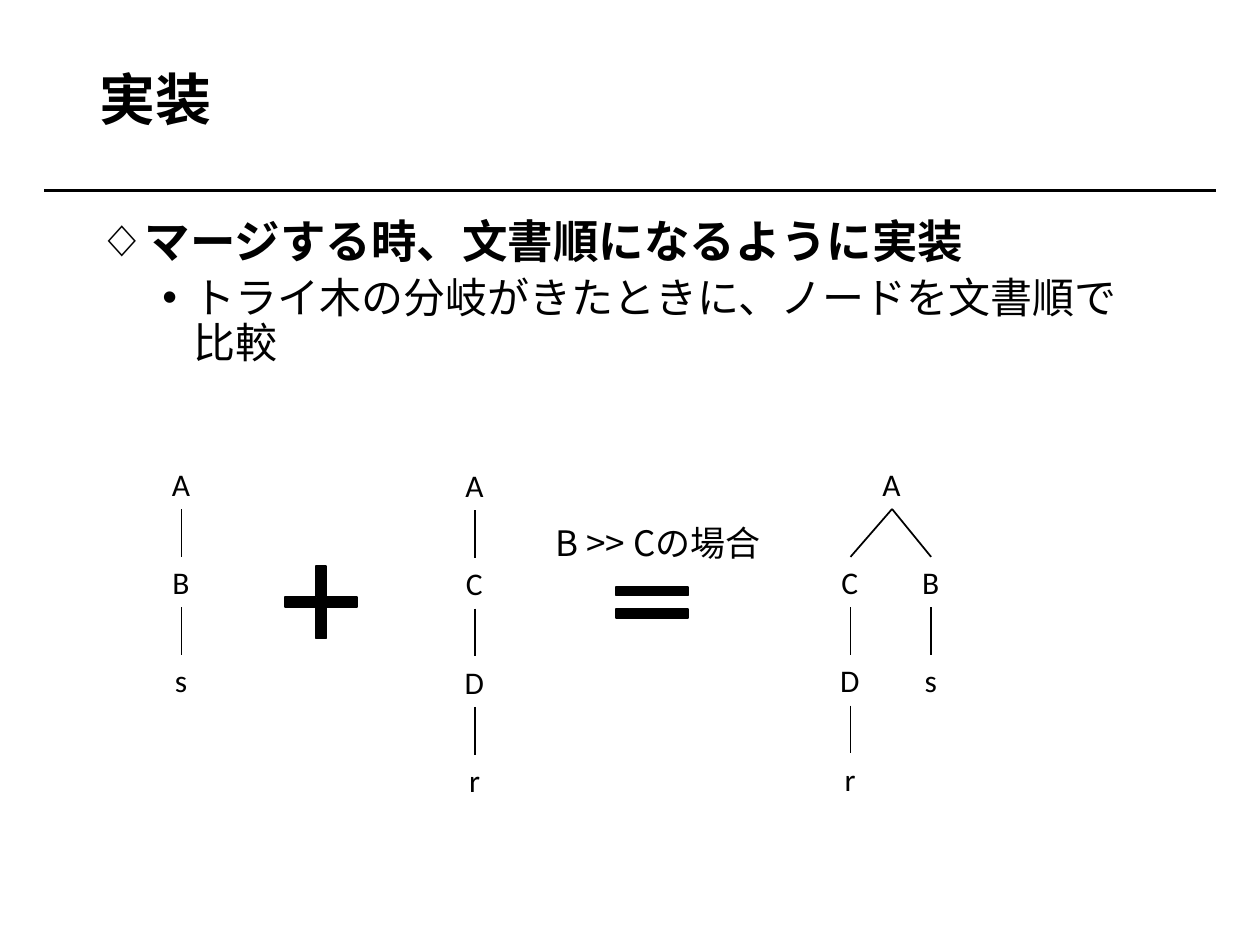
from lxml import etree
from pptx import Presentation, util as u
from pptx.dml.color import RGBColor
from pptx.enum import shapes, text
from pptx.oxml.ns import qn

COLORS = {"ink": "000000", "paper": "FFFFFF"}
CJK, LATIN = "Noto Sans CJK JP", "Calibri"
NODE_H, STEP = 0.4, 0.78
NODE_W = {"A": 0.35, "B": 0.34, "C": 0.34, "D": 0.36, "r": 0.29, "s": 0.3}


def inches(*values):
    """Convert numbers to inch lengths."""
    return [u.Inches(v) for v in values]


def add_run(p, words, size, name=CJK, bold=False):
    """Add formatted text to a paragraph, with line breaks at newlines."""
    for i, line in enumerate(words.split("\n")):
        if i:
            p.add_line_break()
        r = p.add_run()
        r.text = line
        r.font.color.rgb = RGBColor.from_string(COLORS["ink"])
        for key, value in {"size": u.Pt(size), "name": name, "bold": bold}.items():
            setattr(r.font, key, value)
        etree.SubElement(r.font._element, qn("a:ea")).set("typeface", CJK)


def add_label(s, box, words, size, name):
    """Place a one-line label."""
    sp = s.shapes.add_textbox(*inches(*box))
    tf = sp.text_frame
    tf.word_wrap = False
    tf.auto_size = text.MSO_AUTO_SIZE.SHAPE_TO_FIT_TEXT
    tf.paragraphs[0].alignment = text.PP_ALIGN.LEFT
    add_run(tf.paragraphs[0], words, size, name)


def add_line(s, start, end, width):
    """Draw a straight line without shadow."""
    ln = s.shapes.add_connector(shapes.MSO_CONNECTOR.STRAIGHT, *inches(*start, *end))
    ln.line.color.rgb = RGBColor.from_string(COLORS["ink"])
    ln.line.width = u.Pt(width)
    etree.SubElement(ln._element.spPr, qn("a:effectLst"))


def add_heading(s, box, words):
    """Format the title and draw the rule under it."""
    sp = s.shapes.title
    for key, value in zip(("left", "top", "width", "height"), inches(*box)):
        setattr(sp, key, value)
    sp.text_frame.vertical_anchor = text.MSO_ANCHOR.MIDDLE
    p = sp.text_frame.paragraphs[0]
    p.alignment, p.line_spacing = text.PP_ALIGN.LEFT, 0.9
    add_run(p, words, 32, bold=True)
    x, y, w, h = box
    add_line(s, (x - 0.34, y + h + 0.19), (x + w + 0.34, y + h + 0.19), 1.5)


def add_bullets(s, box, items):
    """Fill a box with bulleted paragraphs of two levels."""
    tf = s.shapes.add_textbox(*inches(*box)).text_frame
    tf.word_wrap = True
    for i, (level, mark, words, size, before) in enumerate(items):
        p = tf.add_paragraph() if i else tf.paragraphs[0]
        for key, value in {"level": level, "line_spacing": 0.9,
                           "space_before": u.Pt(before)}.items():
            setattr(p, key, value)
        pPr = p._p.get_or_add_pPr()
        pPr.set("marL", str(u.Inches(0.25 + 0.5 * level)))
        pPr.set("indent", str(u.Inches(-0.25)))
        etree.SubElement(pPr, qn("a:buFont")).set("typeface", "Arial")
        etree.SubElement(pPr, qn("a:buChar")).set("char", mark)
        add_run(p, words, size, bold=level == 0)


def add_tree(s, x, y, nodes):
    """Draw a tree of (label, parent, offset, row) nodes from its root's top centre."""
    spots = {}
    for label, parent, dx, row in nodes:
        cx, top, w = x + dx, y + row * STEP, NODE_W[label]
        spots[label] = (cx, top)
        add_label(s, (cx - w / 2, top, w, NODE_H), label, 18, LATIN)
        if parent:
            px, py = spots[parent]
            add_line(s, (px, py + NODE_H), (cx, top), 1)


def add_sign(s, kind, box, adjustments):
    """Draw a solid arithmetic sign."""
    sp = s.shapes.add_shape(kind, *inches(*box))
    sp.shadow.inherit = False
    sp.fill.solid()
    for color in (sp.fill.fore_color, sp.line.color):
        color.rgb = RGBColor.from_string(COLORS["ink"])
    sp.line.width = u.Pt(1)
    for i, value in enumerate(adjustments):
        sp.adjustments[i] = value


def build_slide(prs):
    """Build the slide on merging tries."""
    s = prs.slides.add_slide(prs.slide_layouts[5])
    s.background.fill.solid()
    s.background.fill.fore_color.rgb = RGBColor.from_string(COLORS["paper"])
    add_heading(s, (0.69, 0.3, 8.62, 1.02), "実装")
    add_bullets(s, (0.69, 1.69, 8.62, 5.06), [
        (0, "◇", "マージする時、文書順になるように実装", 26, 10),
        (1, "•", "トライ木の分岐がきたときに、ノードを文書順で\n比較", 24, 5),
    ])
    add_tree(s, 1.44, 3.64, [("A", None, 0, 0), ("B", "A", 0, 1), ("s", "B", 0, 2)])
    add_tree(s, 3.77, 3.65, [("A", None, 0, 0), ("C", "A", 0, 1),
                             ("D", "C", 0, 2), ("r", "D", 0, 3)])
    add_tree(s, 7.08, 3.64, [("A", None, 0, 0), ("C", "A", -0.33, 1),
                             ("D", "C", -0.33, 2), ("r", "D", -0.33, 3),
                             ("B", "A", 0.31, 1), ("s", "B", 0.31, 2)])
    add_sign(s, shapes.MSO_SHAPE.MATH_PLUS, (2.16, 4.39, 0.78, 0.78), [0.1])
    add_sign(s, shapes.MSO_SHAPE.MATH_EQUAL, (4.79, 4.34, 0.77, 0.88), [0.08, 0.12])
    add_label(s, (4.31, 4.09, 1.93, 0.44), "B >> Cの場合", 20, CJK)


prs = Presentation()
prs.slide_width, prs.slide_height = inches(10, 7.5)
build_slide(prs)
prs.save("out.pptx")
